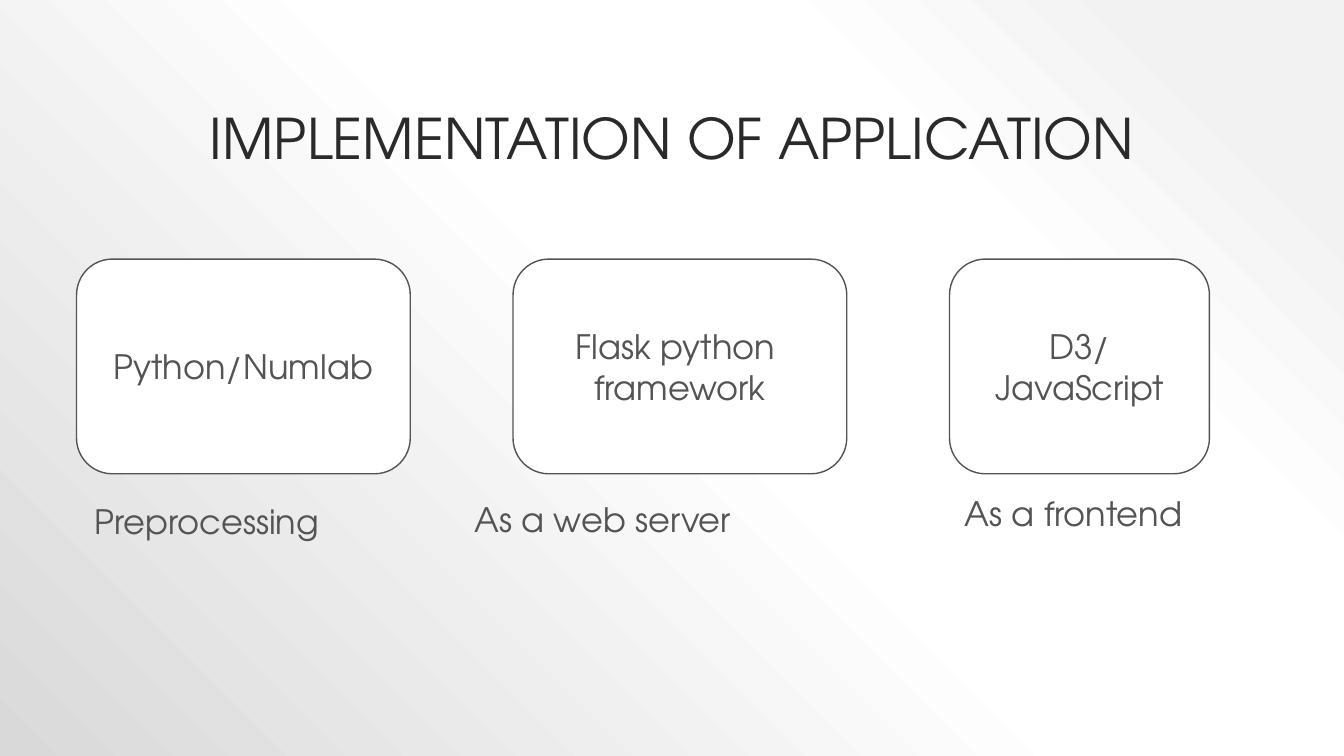
"""Build the slide on the implementation of the application."""
from lxml import etree
from pptx import Presentation
from pptx.dml.color import RGBColor
from pptx.enum.shapes import MSO_SHAPE
from pptx.enum.text import MSO_ANCHOR, PP_ALIGN
from pptx.oxml.ns import qn
from pptx.util import Cm, Pt

ROUNDED = MSO_SHAPE.ROUNDED_RECTANGLE
TOP, MIDDLE, BOTTOM = MSO_ANCHOR.TOP, MSO_ANCHOR.MIDDLE, MSO_ANCHOR.BOTTOM
LEFT, CENTER = PP_ALIGN.LEFT, PP_ALIGN.CENTER

FONT = "TeX Gyre Adventor"
DARK, GREY, WHITE = "2A2A2A", "545454", "FFFFFF"
TITLE = "IMPLEMENTATION OF APPLICATION"
GRADIENT = [(10, "F2F2F2"), (28, WHITE), (48, WHITE), (100, "D9D9D9")]
FOCUS = {"l": 100, "t": 0, "r": 0, "b": 100}
# Box paragraphs, box width, caption, caption left, top and width
STAGES = [
    (["Python/Numlab"], 8.41, "Preprocessing", 2.01, 12.6, 8.71),
    (["Flask python ", "framework"], 8.41, "As a web server", 11.58, 12.57, 8.71),
    (["D3/ JavaScript"], 6.55, "As a frontend", 23.93, 12.42, 6.55),
]
BOX_LEFT, BOX_TOP, BOX_HEIGHT, BOX_GAP = 1.93, 6.53, 5.41, 2.59
CAPTION_HEIGHT = 2.9


def rgb(color):
    return RGBColor.from_string(color)


def write(sp, lines, size, color, align, anchor, spacing=None, before=0, indent=0):
    tf = sp.text_frame
    tf.word_wrap = True
    tf.vertical_anchor = anchor
    for i, line in enumerate(lines):
        p = tf.add_paragraph() if i else tf.paragraphs[0]
        p.alignment = align
        p.line_spacing = spacing
        p.space_before = Pt(before)
        if indent:
            p._p.get_or_add_pPr().set("marL", str(Cm(indent)))
        r = p.add_run()
        r.text = line
        r.font.name, r.font.size = FONT, Pt(size)
        r.font.color.rgb = rgb(color)


def paint_background(s):
    s.background.fill.gradient()
    grad = s.element.find(".//" + qn("a:gradFill"))
    for child in list(grad):
        grad.remove(child)
    stops = etree.SubElement(grad, qn("a:gsLst"))
    for pos, color in GRADIENT:
        gs = etree.SubElement(stops, qn("a:gs"), pos=str(pos * 1000))
        etree.SubElement(gs, qn("a:srgbClr"), val=color)
    circle = etree.SubElement(grad, qn("a:path"), {"path": "circle"})
    etree.SubElement(circle, qn("a:fillToRect"),
                     {side: str(v * 1000) for side, v in FOCUS.items()})


prs = Presentation()
prs.slide_width, prs.slide_height = Cm(33.87), Cm(19.05)
s = prs.slides.add_slide(prs.slide_layouts[5])
paint_background(s)

title = s.shapes.title
title.left, title.top, title.width, title.height = Cm(3.39), Cm(0.76), Cm(27.09), Cm(3.68)
write(title, [TITLE], 40, DARK, CENTER, BOTTOM, 0.9)

left = BOX_LEFT
for lines, width, caption, cap_left, cap_top, cap_width in STAGES:
    sp = s.shapes.add_shape(ROUNDED, Cm(left), Cm(BOX_TOP), Cm(width), Cm(BOX_HEIGHT))
    sp.shadow.inherit = False
    sp.fill.solid()
    sp.fill.fore_color.rgb = rgb(WHITE)
    sp.line.color.rgb = rgb(GREY)
    sp.line.width = Pt(1)
    write(sp, lines, 24, GREY, CENTER, MIDDLE)
    tb = s.shapes.add_textbox(Cm(cap_left), Cm(cap_top), Cm(cap_width), Cm(CAPTION_HEIGHT))
    write(tb, [caption], 24, GREY, LEFT, TOP, 0.9, 18, 0.13)
    left += width + BOX_GAP

prs.save("out.pptx")
